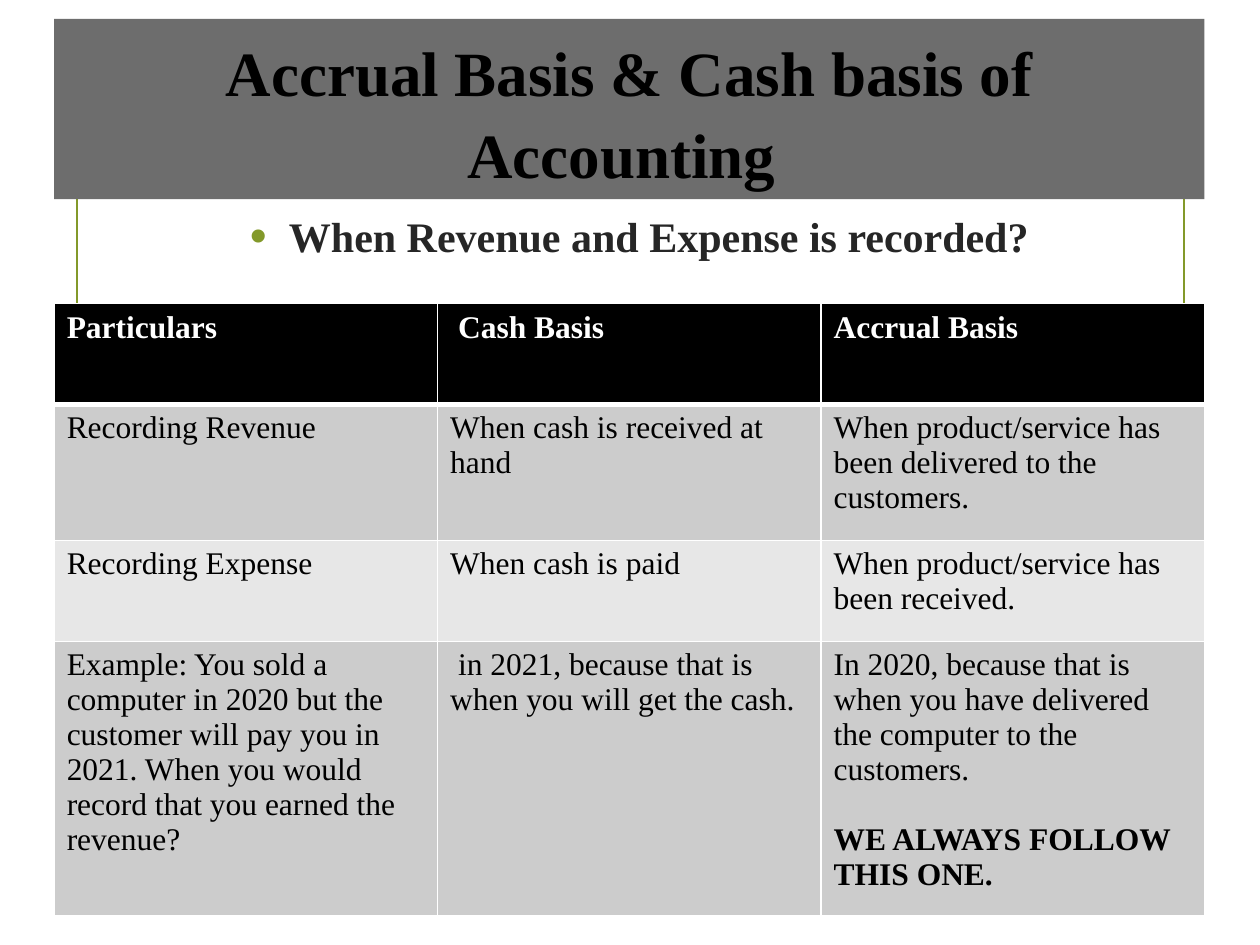
import dataclasses
import typing

import lxml.etree
import pptx
import pptx.dml.color
import pptx.enum.shapes
import pptx.enum.text
import pptx.oxml
import pptx.oxml.ns
import pptx.util

RGB = pptx.dml.color.RGBColor
ALIGN = pptx.enum.text.PP_ALIGN
ANCHOR = pptx.enum.text.MSO_ANCHOR

BLACK = RGB(0x00, 0x00, 0x00)
WHITE = RGB(0xFF, 0xFF, 0xFF)
INK = RGB(0x26, 0x26, 0x26)
GREEN = RGB(0x83, 0x99, 0x2A)
GREY = RGB(0x6D, 0x6D, 0x6D)
DARK = RGB(0xCC, 0xCC, 0xCC)
LIGHT = RGB(0xE7, 0xE7, 0xE7)
FACE = "Times New Roman"


def px(n: int) -> int:
    """Turn px, at 100 to the inch, into EMU."""
    return n * 9144


@dataclasses.dataclass(frozen=True)
class Box:
    left: int
    top: int
    width: int
    height: int

    def emu(self) -> tuple[int, ...]:
        return tuple(px(n) for n in dataclasses.astuple(self))


@dataclasses.dataclass(frozen=True)
class Row:
    height: int
    fill: RGB
    texts: tuple[str, ...]
    color: RGB = BLACK
    bold: bool = False


FRAME = Box(61, 59, 879, 630)
TITLE = Box(43, 15, 913, 143)
BODY = Box(50, 162, 915, 546)
GRID = Box(43, 241, 913, 472)

ROWS = (
    Row(80, BLACK, ("Particulars", " Cash Basis", "Accrual Basis"), WHITE, True),
    Row(108, DARK, (
        "Recording Revenue",
        "When cash is received at hand",
        "When product/service has been delivered to the customers.")),
    Row(80, LIGHT, (
        "Recording Expense",
        "When cash is paid",
        "When product/service has been received.")),
    Row(205, DARK, (
        "Example: You sold a computer in 2020 but the customer will pay you "
        "in 2021. When you would record that you earned the revenue?",
        " in 2021, because that is when you will get the cash.",
        "In 2020, because that is when you have delivered the computer to "
        "the customers.")),
)


def style(obj: typing.Any, **values: typing.Any) -> None:
    for name, value in values.items():
        setattr(obj, name, value)


def write(para: typing.Any, text: str, size: int, color: RGB, bold: bool) -> None:
    run = para.add_run()
    run.text = text
    style(run.font, name=FACE, size=pptx.util.Pt(size), bold=bold)
    run.font.color.rgb = color


def paint(obj: typing.Any, color: RGB) -> None:
    obj.fill.solid()
    obj.fill.fore_color.rgb = color


def add_frame(slide: typing.Any) -> None:
    """Draw the green frame behind all else."""
    frame = slide.shapes.add_shape(
        pptx.enum.shapes.MSO_SHAPE.RECTANGLE, *FRAME.emu())
    frame.shadow.inherit = False
    frame.fill.background()
    frame.line.color.rgb = GREEN
    frame.line.width = pptx.util.Pt(1.25)
    slide.shapes.element.insert(2, frame.element)


def add_title(slide: typing.Any) -> None:
    title = slide.shapes.title
    left, top, width, height = TITLE.emu()
    style(title, left=left, top=top, width=width, height=height)
    paint(title, GREY)
    style(title.text_frame, word_wrap=True, vertical_anchor=ANCHOR.MIDDLE)
    para = title.text_frame.paragraphs[0]
    style(para, alignment=ALIGN.CENTER, line_spacing=1.09)
    write(para, "Accrual Basis & Cash basis of Accounting ", 36, BLACK, True)


def add_bullet(para: typing.Any) -> None:
    props = para._p.get_or_add_pPr()
    style_values = {"marL": px(31), "indent": -px(31)}
    for name, value in style_values.items():
        props.set(name, str(value))
    space = pptx.oxml.ns.nsdecls("a")
    for part in (
        f'<a:buClr {space}><a:srgbClr val="{GREEN}"/></a:buClr>',
        f'<a:buSzPct {space} val="115000"/>',
        f'<a:buFont {space} typeface="Arial"/>',
        f'<a:buChar {space} char="•"/>',
    ):
        props.append(pptx.oxml.parse_xml(part))


def add_body(slide: typing.Any) -> None:
    frame = slide.shapes.add_textbox(*BODY.emu()).text_frame
    frame.word_wrap = True
    para = frame.paragraphs[0]
    add_bullet(para)
    style(para, alignment=ALIGN.CENTER, space_after=pptx.util.Pt(6))
    write(para, "When Revenue and Expense is recorded?", 24, INK, True)


def add_edges(cell: typing.Any, top: int, bottom: int) -> None:
    """Give a cell white borders, with top and bottom widths in points."""
    props = cell._tc.get_or_add_tcPr()
    qn = pptx.oxml.ns.qn
    for side, width in {"L": 1, "R": 1, "T": top, "B": bottom}.items():
        line = lxml.etree.SubElement(
            props, qn(f"a:ln{side}"), w=str(pptx.util.Pt(width)))
        fill = lxml.etree.SubElement(line, qn("a:solidFill"))
        lxml.etree.SubElement(fill, qn("a:srgbClr"), val=str(WHITE))


def add_grid(slide: typing.Any) -> None:
    count = len(ROWS[0].texts)
    table = slide.shapes.add_table(len(ROWS), count, *GRID.emu()).table
    for col in table.columns:
        col.width = px(GRID.width) // count
    for r, row in enumerate(ROWS):
        table.rows[r].height = px(row.height)
        for c, text in enumerate(row.texts):
            cell = table.cell(r, c)
            add_edges(cell, 3 if r == 1 else 1, 3 if r == 0 else 1)
            paint(cell, row.fill)
            write(cell.text_frame.paragraphs[0], text, 18, row.color, row.bold)
    last = table.cell(len(ROWS) - 1, count - 1).text_frame.add_paragraph()
    last.space_before = pptx.util.Pt(20)
    write(last, "WE ALWAYS FOLLOW THIS ONE.", 18, BLACK, True)


def main() -> None:
    deck = pptx.Presentation()
    style(deck, slide_width=px(1000), slide_height=px(750))
    slide = deck.slides.add_slide(deck.slide_layouts[5])
    for draw in (add_frame, add_title, add_body, add_grid):
        draw(slide)
    deck.save("out.pptx")


if __name__ == "__main__":
    main()
